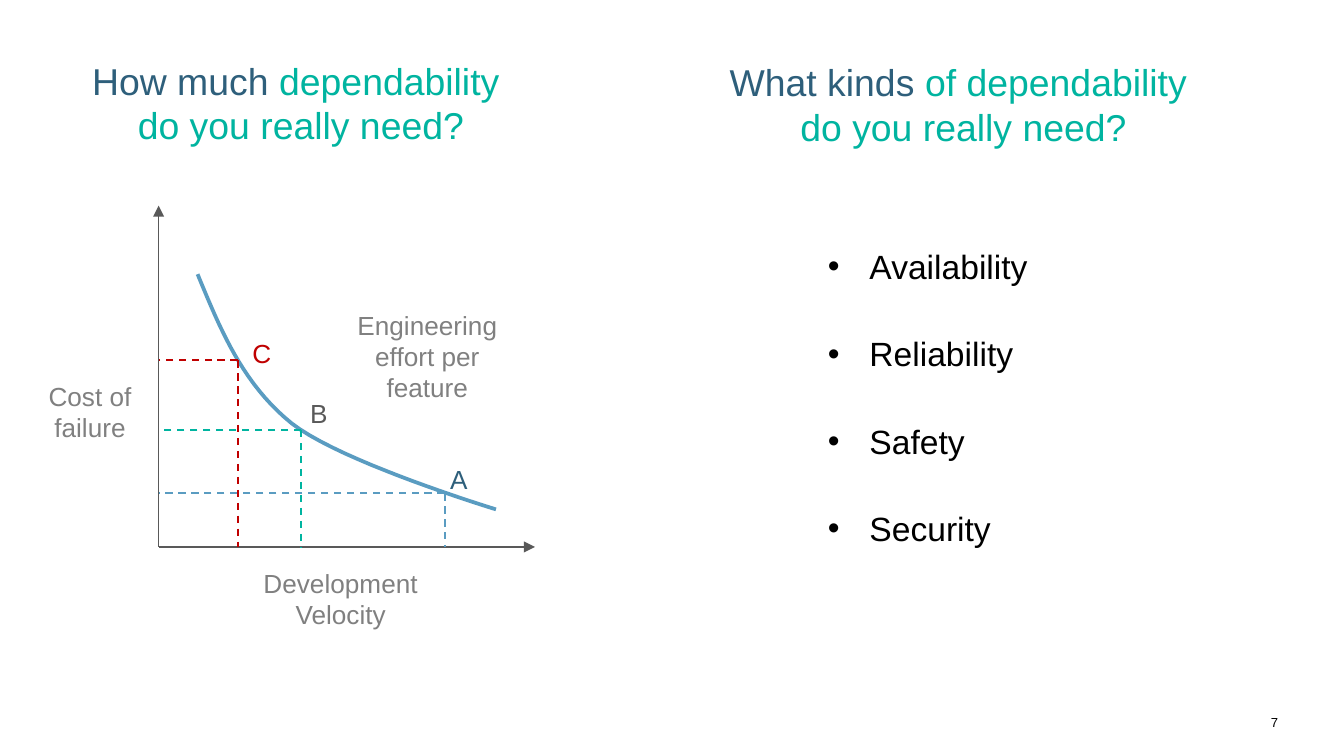
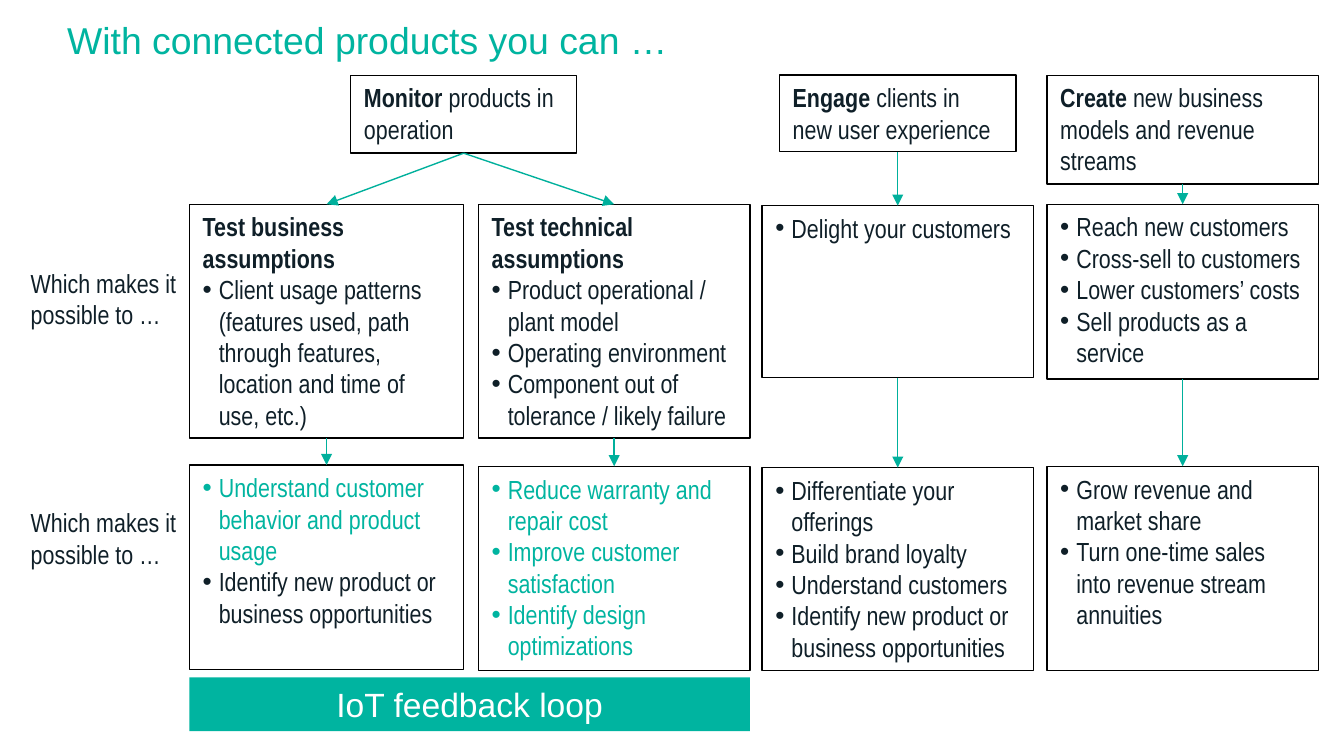
from dataclasses import dataclass

from lxml import etree
from pptx import Presentation
from pptx.dml.color import RGBColor
from pptx.enum.dml import MSO_LINE_DASH_STYLE
from pptx.enum.shapes import MSO_CONNECTOR, MSO_SHAPE
from pptx.enum.text import MSO_ANCHOR, MSO_AUTO_SIZE, PP_ALIGN
from pptx.oxml.ns import qn
from pptx.util import Pt

PX = 9144  # EMU in one px: 100 px to the inch
STRAIGHT = MSO_CONNECTOR.STRAIGHT
RECTANGLE = MSO_SHAPE.RECTANGLE
DASH = MSO_LINE_DASH_STYLE.DASH
LEFT, CENTER, RIGHT = PP_ALIGN.LEFT, PP_ALIGN.CENTER, PP_ALIGN.RIGHT
TOP, MIDDLE, BOTTOM = MSO_ANCHOR.TOP, MSO_ANCHOR.MIDDLE, MSO_ANCHOR.BOTTOM
GROW = MSO_AUTO_SIZE.SHAPE_TO_FIT_TEXT
SIDE_TOP, SIDE_BOTTOM = 0, 2


@dataclass(frozen=True)
class Theme:
    teal: str = "00B4A0"
    arrow: str = "00B09C"
    navy: str = "2E5F7B"
    blue: str = "5A9CC1"
    red: str = "C00000"
    axis: str = "595959"
    gray: str = "808080"
    ink: str = "0F1F28"
    black: str = "000000"
    white: str = "FFFFFF"
    font: str = "Arial"
    narrow: str = "Arial Narrow"
    title: int = 20
    large: int = 18
    body: int = 14
    number: int = 7


THEME = Theme()


@dataclass
class Span:
    text: str
    color: str = THEME.ink
    bold: bool = False


@dataclass
class Para:
    spans: list
    indent: int = 0  # hanging indent in px; above zero it gets a bullet


def plain(text, color=THEME.ink):
    return [Para([Span(text, color)])]


def bullets(*texts, color=THEME.ink, indent=12):
    return [Para([Span(text, color)], indent) for text in texts]


def lead(strong, rest=""):
    spans = [Span(strong, bold=True)]
    return [Para(spans + [Span(rest)] if rest else spans)]


# Text
def add_bullet(para, indent):
    properties = para._p.get_or_add_pPr()
    properties.set("marL", str(indent * PX))
    properties.set("indent", str(-indent * PX))
    etree.SubElement(properties, qn("a:buFont"), typeface=THEME.font)
    etree.SubElement(properties, qn("a:buChar"), char="•")


def add_span(para, span, size, font):
    for index, line in enumerate(span.text.split("\n")):
        if index:
            para.add_line_break()
        run = para.add_run()
        run.text = line
        run.font.size = Pt(size)
        run.font.name = font
        run.font.bold = span.bold
        run.font.color.rgb = RGBColor.from_string(span.color)


def write(shape, paras, size, font, align=LEFT, anchor=TOP, inset=True,
          spacing=None, before=0):
    frame = shape.text_frame
    frame.word_wrap = True
    frame.vertical_anchor = anchor
    frame.margin_left = frame.margin_right = 10 * PX if inset else 0
    frame.margin_top = frame.margin_bottom = 5 * PX if inset else 0
    for index, content in enumerate(paras):
        para = frame.add_paragraph() if index else frame.paragraphs[0]
        para.alignment = align
        if spacing:
            para.line_spacing = spacing
        if index and before:
            para.space_before = Pt(before)
        if content.indent:
            add_bullet(para, content.indent)
        for span in content.spans:
            add_span(para, span, size, font)


def add_text(page, area, paras, size=THEME.body, font=THEME.font, **style):
    box = page.shapes.add_textbox(*[value * PX for value in area])
    write(box, paras, size, font, **style)
    return box


def add_title(page, area, spans, align=LEFT):
    add_text(page, area, [Para(spans)], THEME.title, align=align, inset=False)


# Shapes and lines
def add_box(page, area, paras, size=THEME.body, font=THEME.narrow, fill=None,
            **style):
    box = page.shapes.add_shape(RECTANGLE, *[value * PX for value in area])
    box.shadow.inherit = False
    if fill:
        box.fill.solid()
        box.fill.fore_color.rgb = RGBColor.from_string(fill)
        box.line.fill.background()
    else:
        box.fill.background()
        box.line.color.rgb = RGBColor.from_string(THEME.black)
        box.line.width = Pt(0.75)
    write(box, paras, size, font, **style)
    return box


def add_line(page, start, end, color, width=0.75, dashed=False, arrow=False):
    line = page.shapes.add_connector(
        STRAIGHT, *[value * PX for value in (*start, *end)])
    line.line.color.rgb = RGBColor.from_string(color)
    line.line.width = Pt(width)
    if dashed:
        line.line.dash_style = DASH
    if arrow:
        etree.SubElement(line.line._get_or_add_ln(), qn("a:tailEnd"),
                         type="triangle")
    etree.SubElement(line._element.spPr, qn("a:effectLst"))
    return line


def join_down(page, upper, lower):
    line = add_line(page, (0, 0), (0, 0), THEME.arrow, arrow=True)
    line.begin_connect(upper, SIDE_BOTTOM)
    line.end_connect(lower, SIDE_TOP)


def bezier(points, steps=20):
    for step in range(1, steps + 1):
        t = step / steps
        weights = ((1 - t) ** 3, 3 * t * (1 - t) ** 2, 3 * t * t * (1 - t), t ** 3)
        yield tuple(round(PX * sum(weight * point[axis] for weight, point
                                   in zip(weights, points))) for axis in (0, 1))


def add_curve(page, start, segments, color, width):
    builder = page.shapes.build_freeform(start[0] * PX, start[1] * PX)
    for segment in segments:
        builder.add_line_segments(list(bezier([start, *segment])), close=False)
        start = segment[-1]
    curve = builder.convert_to_shape()
    curve.shadow.inherit = False
    curve.fill.background()
    curve.line.color.rgb = RGBColor.from_string(color)
    curve.line.width = Pt(width)


# Slides
def add_tradeoff_graph(page):
    graph = page.shapes.add_group_shape()
    origin_x, origin_y = 118, 407
    for end in ((398, origin_y), (origin_x, 153)):
        add_line(graph, (origin_x, origin_y), end, THEME.axis, arrow=True)
    add_curve(graph, (147, 204),
              [[(164, 245), (180, 285), (217, 315)],
               [(254, 344), (369, 379), (369, 379)]], THEME.blue, 2)

    for area, text in (((170, 417, 167, 25), "Development Velocity"),
                       ((23, 278, 88, 57), "Cost of\nfailure"),
                       ((245, 225, 146, 42), "Engineering effort per feature")):
        add_text(graph, area, plain(text, THEME.gray), align=CENTER)

    # Operating points: label, label corner, point on the curve, colours
    for name, corner, (x, y), guide, color in (
            ("B", (221, 291), (224, 320), THEME.teal, THEME.axis),
            ("A", (325, 340), (331, 367), THEME.blue, THEME.navy),
            ("C", (178, 246), (177, 268), THEME.red, THEME.red)):
        label = add_text(graph, (*corner, 25, 25), plain(name, color), align=CENTER)
        label.text_frame.word_wrap = False
        label.text_frame.auto_size = GROW
        for end in ((x, origin_y), (origin_x, y)):
            add_line(graph, (x, y), end, guide, 1, dashed=True)


def build_need_slide(page):
    for area, start, rest in (
            ((50, 43, 348, 67), "How much ", "dependability "),
            ((542, 44, 350, 67), "What kinds ", "of dependability ")):
        add_title(page, area, [Span(start, THEME.navy),
                               Span(rest + "\ndo you really need?", THEME.teal)], CENTER)
    add_tradeoff_graph(page)
    kinds = bullets("Availability", "Reliability", "Safety", "Security",
                    color=THEME.black, indent=31)
    add_text(page, (616, 153, 336, 317), kinds, THEME.large, inset=False,
             spacing=2.0, before=3.6)
    add_text(page, (914, 531, 37, 12), plain("7", THEME.black), THEME.number,
             align=RIGHT, anchor=BOTTOM, inset=False)


def build_connected_slide(page):
    add_title(page, (50, 13, 900, 34),
              [Span("With connected products you can …", THEME.teal)])
    for top in (194, 372):
        add_text(page, (13, top, 171, 57), plain("Which makes it possible to …"),
                 font=THEME.narrow)

    # What connected products allow
    monitor = add_box(page, (261, 56, 168, 58),
                      lead("Monitor", " products in operation"))
    engage = add_box(page, (580, 56, 176, 57),
                     lead("Engage", " clients in new user experience"))
    create = add_box(page, (779, 56, 202, 81),
                     lead("Create", " new business models and revenue streams"))

    # Columns: source, left, width, then top, height and text of both effects
    columns = (
        (monitor, 141, 204,
         (152, 174, lead("Test business assumptions") + bullets(
             "Client usage patterns (features used, path through features, "
             "location and time of use, etc.)")),
         (346, 152, bullets("Understand customer behavior and product usage",
                            color=THEME.teal)
          + bullets("Identify new product or business opportunities"))),
        (monitor, 356, 202,
         (152, 174, lead("Test technical assumptions") + bullets(
             "Product operational / plant model", "Operating environment",
             "Component out of tolerance / likely failure")),
         (347, 152, bullets("Reduce warranty and repair cost",
                            "Improve customer satisfaction",
                            "Identify design optimizations", color=THEME.teal))),
        (engage, 567, 202,
         (153, 128, bullets("Delight your customers")),
         (348, 151, bullets("Differentiate your offerings", "Build brand loyalty",
                            "Understand customers",
                            "Identify new product or business opportunities"))),
        (create, 779, 202,
         (152, 130, bullets("Reach new customers", "Cross-sell to customers",
                            "Lower customers’ costs",
                            "Sell products as a service")),
         (347, 152, bullets("Grow revenue and market share",
                            "Turn one-time sales into revenue stream annuities"))),
    )
    for source, left, width, *effects in columns:
        for top, height, paras in effects:
            effect = add_box(page, (left, top, width, height), paras)
            join_down(page, source, effect)
            source = effect

    add_box(page, (141, 504, 417, 40), plain("IoT feedback loop", THEME.white),
            THEME.large, THEME.font, THEME.teal, align=CENTER, anchor=MIDDLE)


def main():
    deck = Presentation()
    deck.slide_width = 1000 * PX
    deck.slide_height = deck.slide_width * 9 // 16
    blank = deck.slide_layouts[6]
    for build in (build_need_slide, build_connected_slide):
        build(deck.slides.add_slide(blank))
    deck.save("out.pptx")


if __name__ == "__main__":
    main()
